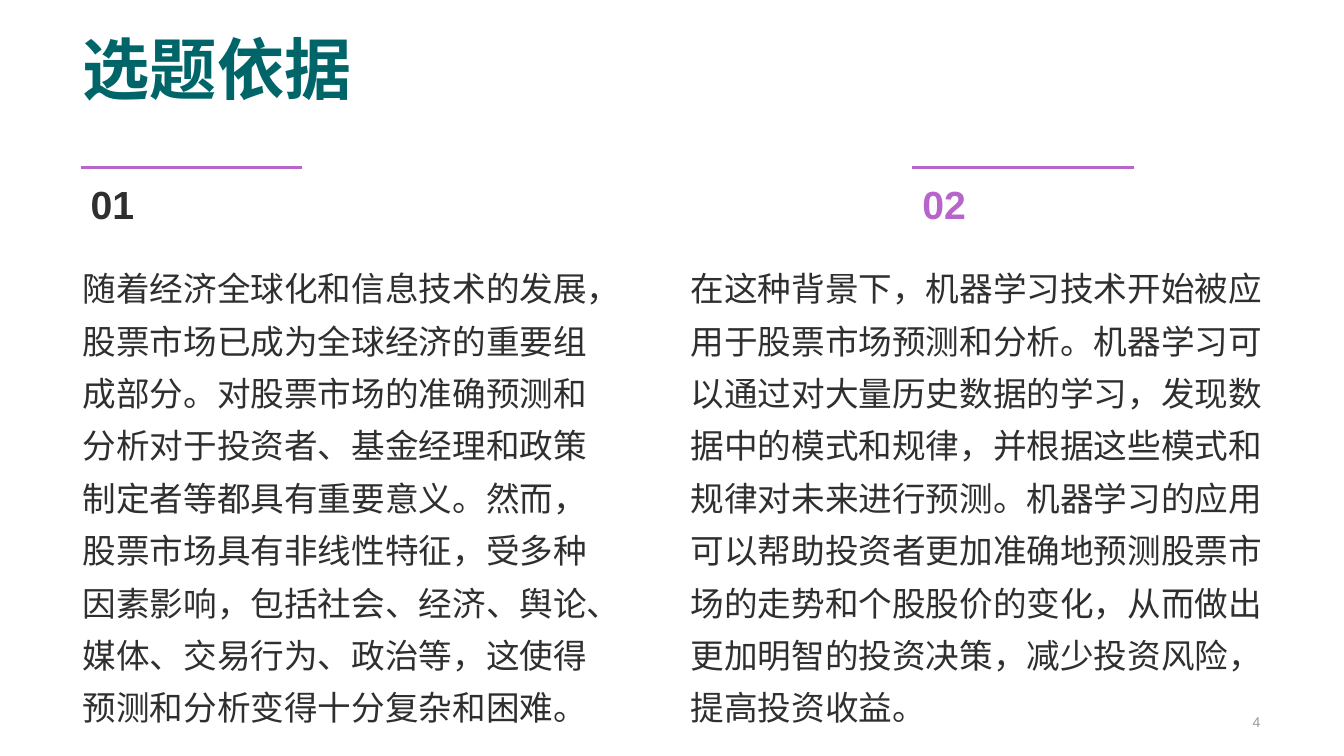
from dataclasses import dataclass

from lxml import etree
from pptx import Presentation
from pptx.dml.color import RGBColor
from pptx.enum.shapes import MSO_CONNECTOR
from pptx.enum.text import MSO_ANCHOR, MSO_AUTO_SIZE, PP_ALIGN
from pptx.oxml.ns import qn
from pptx.util import Inches, Pt

STRAIGHT = MSO_CONNECTOR.STRAIGHT
TOP, MIDDLE, BOTTOM = MSO_ANCHOR.TOP, MSO_ANCHOR.MIDDLE, MSO_ANCHOR.BOTTOM
NO_AUTOFIT = MSO_AUTO_SIZE.NONE
LEFT, RIGHT = PP_ALIGN.LEFT, PP_ALIGN.RIGHT
TWO_CONTENT_LAYOUT = 3


@dataclass(frozen=True)
class Theme:
    latin_font: str = "Arial"
    chinese_font: str = "Noto Sans CJK SC"
    teal: str = "006568"
    purple: str = "B764CB"
    dark: str = "2F2F2F"
    grey: str = "979797"
    title_size: int = 48
    number_size: int = 28
    body_size: int = 24
    page_size: int = 10
    rule_width: int = 2
    line_spacing: float = 1.3


@dataclass(frozen=True)
class Column:
    number: str
    number_color: str
    rule_left: float
    text_left: float
    text_width: float
    text: str


THEME = Theme()
COLUMNS = [
    Column("01", THEME.dark, 0.8, 0.72, 5.3,
           "随着经济全球化和信息技术的发展，股票市场已成为全球经济的重要组成部分。"
           "对股票市场的准确预测和分析对于投资者、基金经理和政策制定者等都具有重要意义。"
           "然而，股票市场具有非线性特征，受多种因素影响，包括社会、经济、舆论、媒体、"
           "交易行为、政治等，这使得预测和分析变得十分复杂和困难。"),
    Column("02", THEME.purple, 9.05, 6.75, 6.04,
           "在这种背景下，机器学习技术开始被应用于股票市场预测和分析。"
           "机器学习可以通过对大量历史数据的学习，发现数据中的模式和规律，"
           "并根据这些模式和规律对未来进行预测。机器学习的应用可以帮助投资者更加准确地"
           "预测股票市场的走势和个股股价的变化，从而做出更加明智的投资决策，"
           "减少投资风险，提高投资收益。"),
]


class SlideBuilder:
    def __init__(self, slide, theme):
        self.slide = slide
        self.theme = theme

    def _write(self, shape, text, size, color, font=None, bold=False,
               align=LEFT, anchor=TOP, spacing=1.0):
        frame = shape.text_frame
        frame.text = text
        frame.word_wrap = True
        frame.auto_size = NO_AUTOFIT
        frame.vertical_anchor = anchor
        paragraph = frame.paragraphs[0]
        paragraph.alignment = align
        paragraph.line_spacing = spacing
        paragraph.space_before = Pt(0)
        paragraph.font.size = Pt(size)
        paragraph.font.bold = bold
        paragraph.font.name = font or self.theme.latin_font
        paragraph.font.color.rgb = RGBColor.from_string(color)
        self._finish_paragraph(paragraph)

    def _finish_paragraph(self, paragraph):
        """Remove the bullet and indent, and set the East Asian font."""
        properties = paragraph._p.pPr
        properties.set("marL", "0")
        properties.set("indent", "0")
        defaults = properties.find(qn("a:defRPr"))
        defaults.addprevious(etree.Element(qn("a:buNone")))
        east_asian = etree.SubElement(defaults, qn("a:ea"))
        east_asian.set("typeface", self.theme.chinese_font)

    def _place(self, shape, left, top, width, height):
        shape.left, shape.top = Inches(left), Inches(top)
        shape.width, shape.height = Inches(width), Inches(height)

    def title(self, text):
        shape = self.slide.shapes.title
        self._place(shape, 0.72, 0, 11.88, 1.12)
        self._write(shape, text, self.theme.title_size, self.theme.teal,
                    font=self.theme.chinese_font, bold=True, anchor=BOTTOM,
                    spacing=self.theme.line_spacing)

    def body(self, placeholder, text, left, width):
        self._place(placeholder, left, 2.49, width, 4.77)
        self._write(placeholder, text, self.theme.body_size, self.theme.dark,
                    spacing=self.theme.line_spacing)

    def label(self, text, left, top, width, height, size, color, **style):
        box = self.slide.shapes.add_textbox(
            Inches(left), Inches(top), Inches(width), Inches(height))
        self._write(box, text, size, color, **style)

    def rule(self, left, top, width):
        line = self.slide.shapes.add_connector(
            STRAIGHT, Inches(left), Inches(top), Inches(left + width), Inches(top))
        line.line.color.rgb = RGBColor.from_string(self.theme.purple)
        line.line.width = Pt(self.theme.rule_width)
        etree.SubElement(line._element.spPr, qn("a:effectLst"))


def main():
    presentation = Presentation()
    presentation.slide_width = Inches(13.33)
    presentation.slide_height = Inches(7.5)
    slide = presentation.slides.add_slide(
        presentation.slide_layouts[TWO_CONTENT_LAYOUT])
    builder = SlideBuilder(slide, THEME)

    builder.title("选题依据")
    builder.label("4", 9.69, 7.04, 2.91, 0.24, THEME.page_size, THEME.grey,
                  align=RIGHT, anchor=MIDDLE)
    for index, column in enumerate(COLUMNS, start=1):
        builder.rule(column.rule_left, 1.66, 2.2)
        builder.label(column.number, column.rule_left, 1.74, 2.2, 0.57,
                      THEME.number_size, column.number_color, bold=True)
        builder.body(slide.placeholders[index], column.text,
                     column.text_left, column.text_width)

    presentation.save("out.pptx")


if __name__ == "__main__":
    main()
